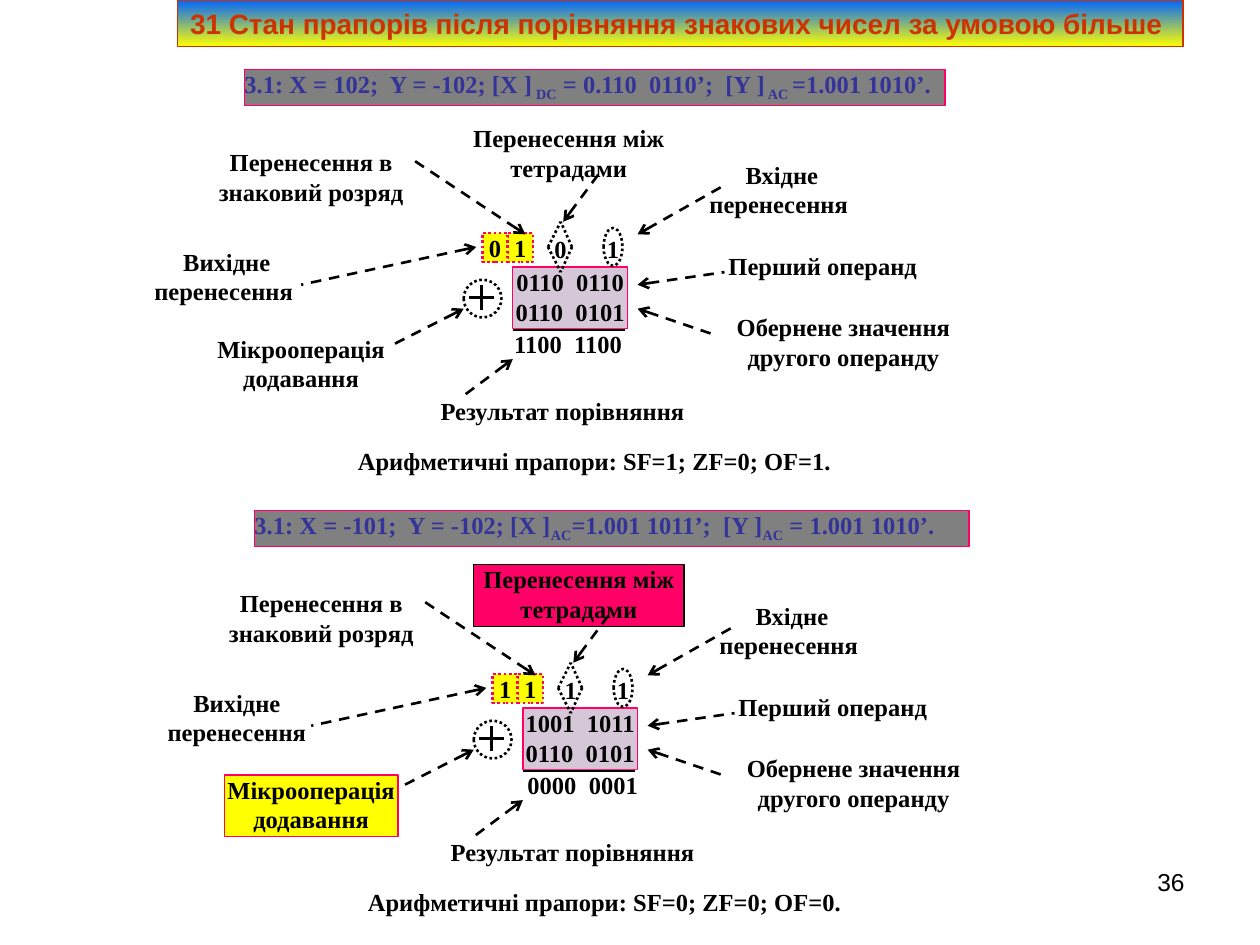
import pptx
import pptx.util
import pptx.dml.color
import pptx.enum.dml
import pptx.enum.shapes
import pptx.enum.text
import pptx.oxml.ns
import lxml.etree

Inches, Pt = pptx.util.Inches, pptx.util.Pt
RGBColor = pptx.dml.color.RGBColor
SHAPE = pptx.enum.shapes.MSO_SHAPE
DASH = pptx.enum.dml.MSO_LINE
ALIGN = pptx.enum.text.PP_ALIGN
ANCHOR = pptx.enum.text.MSO_ANCHOR
qn = pptx.oxml.ns.qn

BLACK = RGBColor(0x00, 0x00, 0x00)
WHITE = RGBColor(0xFF, 0xFF, 0xFF)
GRAY = RGBColor(0x80, 0x80, 0x80)
INDIGO = RGBColor(0x33, 0x33, 0x99)
PINK = RGBColor(0xFF, 0x00, 0x66)
YELLOW = RGBColor(0xFF, 0xFF, 0x00)
LILAC = RGBColor(0xD5, 0xC6, 0xD8)
BLUE = RGBColor(0x00, 0x66, 0xFF)
RUST = RGBColor(0xCC, 0x33, 0x00)


class Board:
    """Style and current slide; shapes go to `target` shifted by (dx, dy)."""
    serif, sans, size = "Times New Roman", "Arial", 14

    def __init__(self, prs):
        self.s = prs.slides.add_slide(prs.slide_layouts[6])
        self.start(self.s.shapes)

    def start(self, target, dx=0, dy=0):
        self.target, self.dx, self.dy = target, dx, dy

    def place(self, x, y):
        return Inches(round(x + self.dx, 2)), Inches(round(y + self.dy, 2))

    def font(self, r, color=BLACK, name=serif, size=size, bold=True):
        r.font.name, r.font.size, r.font.bold = name, Pt(size), bold
        r.font.color.rgb = color

    def box(self, x, y, w, h, lines=(), fill=WHITE, line=None, width=0.75,
            dash=None, kind=SHAPE.RECTANGLE, align=ALIGN.CENTER, color=BLACK):
        """Each line is a string, or a list of (text, is_subscript) pairs."""
        sp = self.target.add_shape(kind, *self.place(x, y), Inches(w), Inches(h))
        sp.shadow.inherit = False
        sp.fill.solid()
        sp.fill.fore_color.rgb = fill
        if line is None:
            sp.line.fill.background()
        else:
            sp.line.color.rgb, sp.line.width = line, Pt(width)
            if dash:
                sp.line.dash_style = dash
        tf = sp.text_frame
        tf.word_wrap, tf.vertical_anchor = True, ANCHOR.TOP
        tf.margin_left = tf.margin_right = tf.margin_top = tf.margin_bottom = 0
        for i, parts in enumerate(lines):
            p = tf.add_paragraph() if i else tf.paragraphs[0]
            p.alignment = align
            for text, sub in [(parts, False)] if isinstance(parts, str) else parts:
                r = p.add_run()
                r.text = text
                self.font(r, color)
                if sub:
                    r._r.get_or_add_rPr().set("baseline", "-25000")
        return sp

    def line(self, x1, y1, x2, y2, dash=None, arrow=False):
        c = self.target.add_connector(pptx.enum.shapes.MSO_CONNECTOR.STRAIGHT,
                                      *self.place(x1, y1), *self.place(x2, y2))
        c.line.color.rgb, c.line.width = BLACK, Pt(1.5)
        if dash:
            c.line.dash_style = dash
        if arrow:
            head = lxml.etree.SubElement(c.line._get_or_add_ln(), qn("a:headEnd"))
            head.set("type", "arrow")
        lxml.etree.SubElement(c._element.spPr, qn("a:effectLst"))

    def title(self, x, y, w, h, text):
        sp = self.box(x, y, w, h, [text], line=RUST, align=ALIGN.LEFT)
        sp.fill.gradient()
        sp.fill.gradient_angle = 270
        for stop, color, pos in zip(sp.fill.gradient_stops, (BLUE, YELLOW), (0, 1)):
            stop.color.rgb, stop.position = color, pos
        tf = sp.text_frame
        tf.word_wrap, tf.vertical_anchor = False, ANCHOR.MIDDLE
        tf.margin_left = tf.margin_right = Inches(0.1)
        tf.margin_top = tf.margin_bottom = Inches(0.05)
        self.font(tf.paragraphs[0].runs[0], RUST, self.sans, 16)

    def number(self, x, y, w, h, text):
        tf = self.s.shapes.add_textbox(*self.place(x, y), Inches(w), Inches(h)).text_frame
        tf.word_wrap = True
        tf.text = text
        tf.paragraphs[0].alignment = ALIGN.RIGHT
        self.font(tf.paragraphs[0].runs[0], name=self.sans, bold=False)

    def addition(self, dx, dy, heading, heading_w, operands, carries, result,
                 result_x, flags, carry_out, between={}, operation={}):
        """One worked addition with its labels."""
        self.start(self.s.shapes.add_group_shape().shapes, dx, dy)
        dots = dict(width=1.5, dash=DASH.ROUND_DOT)
        # Heading and labels
        self.box(1.94, 0.55, heading_w, 0.29, [heading], GRAY, PINK,
                 align=ALIGN.LEFT, color=INDIGO)
        self.box(3.48, 3.14, 1.97, 0.23, ["Результат порівняння"])
        self.box(1.66, 1.17, 1.62, 0.49, ["Перенесення в", "знаковий розряд"])
        self.box(5.74, 1.99, 1.58, 0.25, ["Перший операнд"])
        self.box(5.81, 2.48, 1.77, 0.49, ["Обернене значення другого операнду"])
        self.box(3.68, 0.98, 1.67, 0.49, ["Перенесення між", "тетрадами"], **between)
        self.box(1.21, 1.96, 1.18, 0.49, [carry_out])
        self.box(5.55, 1.27, 1.31, 0.49, ["Вхідне перенесення "])
        self.box(1.7, 2.65, 1.38, 0.49, ["Мікрооперація", "додавання"], **operation)
        self.box(2.84, 3.54, 3.87, 0.3, [f"Арифметичні прапори: {flags}."],
                 align=ALIGN.LEFT)
        # Operands, carries and result
        out, sign, middle, inp = carries
        self.box(4.07, 2.12, 0.91, 0.49, operands, LILAC, PINK)
        for x, digit in ((4.03, sign), (3.83, out)):
            self.box(x, 1.85, 0.2, 0.23, [digit], YELLOW, PINK, **dots)
        self.box(result_x, 2.61, 0.95, 0.28, [result])
        self.box(4.79, 1.81, 0.15, 0.3, [inp], line=BLACK, kind=SHAPE.OVAL, **dots)
        self.line(4.07, 2.62, 4.96, 2.62)
        # Plus sign in a circle
        self.box(3.68, 2.22, 0.3, 0.3, line=BLACK, kind=SHAPE.OVAL, **dots)
        self.line(3.72, 2.36, 3.92, 2.36)
        self.line(3.82, 2.26, 3.82, 2.46)
        # Carry between tetrads in a dotted diamond
        self.box(4.4, 1.86, 0.1, 0.2, [middle])
        for x in (4.35, 4.54):
            for y in (1.76, 2.16):
                self.line(x, 1.96, 4.45, y, DASH.ROUND_DOT)
        # Arrows, head first
        for ends in ((5.06, 1.86, 5.75, 1.47), (5.06, 2.26, 5.75, 2.16),
                     (5.06, 2.45, 5.65, 2.65), (4.07, 2.85, 3.68, 3.14),
                     (3.68, 2.45, 3.09, 2.75), (4.17, 1.86, 3.28, 1.27),
                     (3.78, 1.96, 2.39, 2.26), (4.47, 1.76, 4.76, 1.37)):
            self.line(*ends, dash=DASH.DASH, arrow=True)
        self.start(self.s.shapes)


def main():
    prs = pptx.Presentation()
    prs.slide_width, prs.slide_height = Inches(10), Inches(7.5)
    board = Board(prs)

    # Lower example
    board.addition(
        0.08, 3.5,
        [("3.1: X = -101;  Y = -102; [X ]", False), ("AC", True),
         ("=1.001 1011’;  [Y ]", False), ("AC", True), (" = 1.001 1010’.", False)],
        5.67, ["1001  1011", "0110  0101"], "1111", "0000  0001", 4.07,
        "SF=0; ZF=0; OF=0", "Вихідне перенесення",
        between=dict(fill=PINK, line=BLACK), operation=dict(fill=YELLOW, line=PINK))

    # Title
    board.title(1.41, 0, 7.98, 0.37,
                "31 Стан прапорів після порівняння знакових чисел за умовою більше ")

    # Upper example
    board.addition(
        0, 0,
        [("3.1: X = 102;  Y = -102; [X ]", False), (" DC", True),
         (" = 0.110  0110’;  [Y ]", False), (" AC ", True), ("=1.001 1010’.", False)],
        5.56, ["0110  0110 0110  0101"], "0101", " 1100  1100", 4.01,
        "SF=1; ZF=0; OF=1", "Вихідне перенесення ")

    # Slide number
    board.number(7.17, 6.83, 2.33, 0.52, "36")
    prs.save("out.pptx")


if __name__ == "__main__":
    main()
